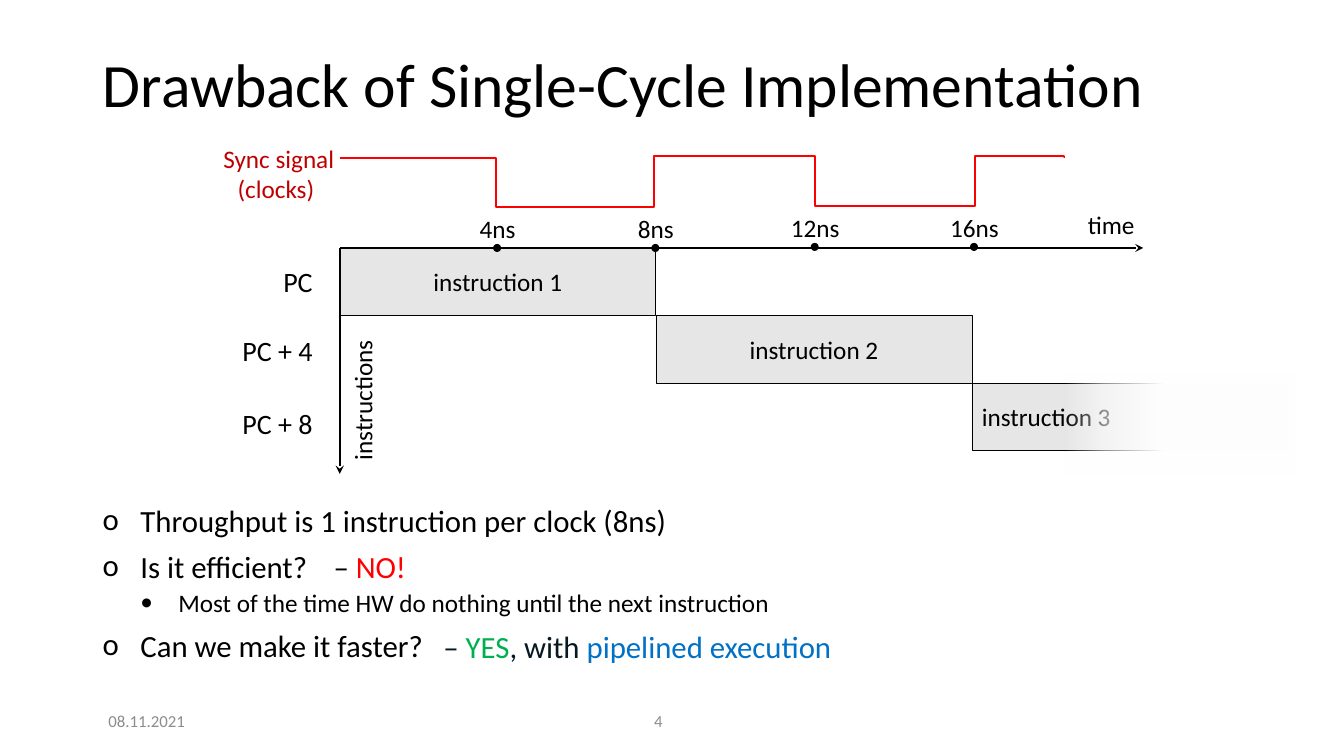
"""Builds the slide on the drawback of single-cycle implementation."""
from lxml.etree import SubElement
from pptx import Presentation
from pptx.dml.color import RGBColor
from pptx.enum.shapes import MSO_CONNECTOR, MSO_SHAPE
from pptx.enum.text import MSO_ANCHOR, PP_ALIGN
from pptx.oxml.ns import qn
from pptx.util import Inches, Pt

FONT = "Calibri"
BLACK, WHITE, RED, GRAY = "000000", "FFFFFF", "FF0000", "8C8C8C"
LEFT, CENTER, RIGHT = PP_ALIGN.LEFT, PP_ALIGN.CENTER, PP_ALIGN.RIGHT
TOP, MIDDLE = MSO_ANCHOR.TOP, MSO_ANCHOR.MIDDLE

TITLE = "Drawback of Single-Cycle Implementation"
BULLETS = [
    (0, "Throughput is 1 instruction per clock (8ns)"),
    (0, "Is it efficient?"),
    (1, "Most of the time HW do nothing until the next instruction"),
    (0, "Can we make it faster?"),
]
BULLET_STYLES = [("o", 22, 12), ("•", 18, 6)]
ANSWERS = [
    ((3.21, 5.38, 0.93, 0.47), [("– ", BLACK), ("NO!", RED)]),
    ((4.3, 6.18, 4.13, 0.47), [("– ", "061922"), ("YES", "00B050"),
                               (", with ", "061922"), ("pipelined execution", "0071C5")]),
]
INSTRUCTIONS = [("instruction 1", CENTER), ("instruction 2", CENTER), ("instruction 3", LEFT)]
COUNTERS = [("PC", 2.57), ("PC + 4", 3.26), ("PC + 8", 3.98)]
TICKS = [("4ns", 4.93, 2.46), ("8ns", 6.5, 2.46), ("12ns", 8.08, 2.45), ("16ns", 9.66, 2.45)]
CLOCK = [(3.37, 1.57), (4.92, 1.57), (4.92, 2.05), (6.49, 2.05), (6.49, 1.55), (8.08, 1.55),
         (8.08, 2.04), (9.67, 2.04), (9.67, 1.55), (10.55, 1.55), (10.55, 1.56), (10.56, 1.56)]
FADE_STOPS = [(0, 0), (17, 55), (43, 100)]

AXIS_X, AXIS_Y = 3.37, 2.46
BOX_W, BOX_H = 3.135, 0.67
DOT = 0.08


def color(hex_code):
    return RGBColor.from_string(hex_code)


def write(frame, lines, size=18, ink=BLACK, align=LEFT, anchor=TOP, wrap=False):
    """Fills a frame; a line is a string or a list of (text, colour) runs."""
    frame.word_wrap = wrap
    frame.vertical_anchor = anchor
    for index, line in enumerate(lines):
        paragraph = frame.paragraphs[0] if index == 0 else frame.add_paragraph()
        paragraph.alignment = align
        for words, run_ink in [(line, ink)] if isinstance(line, str) else line:
            run = paragraph.add_run()
            run.text = words
            run.font.name, run.font.size = FONT, Pt(size)
            run.font.color.rgb = color(run_ink)


def label(slide, place, lines, **style):
    box = slide.shapes.add_textbox(*map(Inches, place))
    write(box.text_frame, lines, **style)
    return box


def block(slide, preset, place, fill=None, line=None):
    shape = slide.shapes.add_shape(preset, *map(Inches, place))
    shape.shadow.inherit = False
    if fill:
        shape.fill.solid()
        shape.fill.fore_color.rgb = color(fill)
    if line:
        shape.line.color.rgb, shape.line.width = color(line), Pt(0.5)
    else:
        shape.line.fill.background()
    return shape


def axis(slide, end_x, end_y):
    arrow = slide.shapes.add_connector(
        MSO_CONNECTOR.STRAIGHT, *map(Inches, (AXIS_X, AXIS_Y, end_x, end_y)))
    arrow.line.color.rgb, arrow.line.width = color(BLACK), Pt(1.5)
    SubElement(arrow.line._get_or_add_ln(), qn("a:tailEnd"), type="stealth")
    SubElement(arrow._element.spPr, qn("a:effectLst"))


def clock_signal(slide):
    points = [(Inches(x), Inches(y)) for x, y in CLOCK]
    builder = slide.shapes.build_freeform(*points[0])
    builder.add_line_segments(points[1:], close=False)
    signal = builder.convert_to_shape()
    signal.shadow.inherit = False
    signal.fill.background()
    signal.line.color.rgb, signal.line.width = color(RED), Pt(1.5)


def timeline(slide):
    clock_signal(slide)
    label(slide, (2.11, 1.37, 1.31, 0.71), ["Sync signal", "(clocks) "],
          ink="C00000", align=CENTER)
    for index, (name, align) in enumerate(INSTRUCTIONS):
        place = (AXIS_X + index * BOX_W, AXIS_Y + index * BOX_H, BOX_W, BOX_H)
        box = block(slide, MSO_SHAPE.RECTANGLE, place, "E7E6E6", BLACK)
        write(box.text_frame, [name], align=align, anchor=MIDDLE, wrap=True)
    for name, top in COUNTERS:
        label(slide, (2.07, top, 1.13, 0.44), [name], size=20, align=RIGHT,
              anchor=MIDDLE, wrap=True)
    axis(slide, AXIS_X, 4.7)
    axis(slide, 11.34, AXIS_Y)
    label(slide, (2.9, 3.77, 1.39, 0.4), ["instructions"]).rotation = 270
    label(slide, (10.69, 2.03, 0.68, 0.4), ["time"])
    for name, x, y in TICKS:
        block(slide, MSO_SHAPE.OVAL, (x - DOT / 2, y - DOT / 2, DOT, DOT), BLACK)
        label(slide, (x - 0.34, y - 0.39, 0.69, 0.4), [name], align=CENTER)


def fade(slide):
    cover = block(slide, MSO_SHAPE.RECTANGLE, (10.56, 3.7, 2.3, 1))
    cover.fill.gradient()
    cover.fill.gradient_angle = 0
    stops = cover._element.spPr.find(qn("a:gradFill")).find(qn("a:gsLst"))
    for stop in list(stops):
        stops.remove(stop)
    for position, opacity in FADE_STOPS:
        stop = SubElement(stops, qn("a:gs"), pos=str(position * 1000))
        tint = SubElement(stop, qn("a:srgbClr"), val=WHITE)
        SubElement(tint, qn("a:alpha"), val=str(opacity * 1000))


def bullet_list(slide):
    frame = label(slide, (0.92, 5, 11.5, 1.69), [words for _, words in BULLETS],
                  wrap=True).text_frame
    for paragraph, (level, _) in zip(frame.paragraphs, BULLETS):
        mark, size, gap = BULLET_STYLES[level]
        paragraph.level = level
        paragraph.line_spacing, paragraph.space_before = 0.8, Pt(gap)
        paragraph.runs[0].font.size = Pt(size)
        props = paragraph._p.get_or_add_pPr()
        props.set("marL", str(Inches(0.375 * (level + 1))))
        props.set("indent", str(Inches(-0.375)))
        SubElement(props, qn("a:buFont"), typeface=FONT)
        SubElement(props, qn("a:buChar"), char=mark)


def main():
    deck = Presentation()
    deck.slide_width, deck.slide_height = Inches(13.33), Inches(7.5)
    slide = deck.slides.add_slide(deck.slide_layouts[5])
    title = slide.shapes.title
    title.left, title.top, title.width, title.height = map(Inches, (0.92, 0.4, 11.5, 0.93))
    write(title.text_frame, [TITLE], size=44, anchor=MIDDLE, wrap=True)
    title.text_frame.paragraphs[0].line_spacing = 0.9
    timeline(slide)
    fade(slide)
    bullet_list(slide)
    for place, runs in ANSWERS:
        label(slide, place, [runs], size=22)
    label(slide, (0.92, 6.95, 1.07, 0.4), ["08.11.2021"], size=12, ink=GRAY,
          align=CENTER, anchor=MIDDLE, wrap=True)
    label(slide, (6.39, 6.95, 0.79, 0.4), ["4"], size=12, ink=GRAY, anchor=MIDDLE, wrap=True)
    deck.save("out.pptx")


if __name__ == "__main__":
    main()
